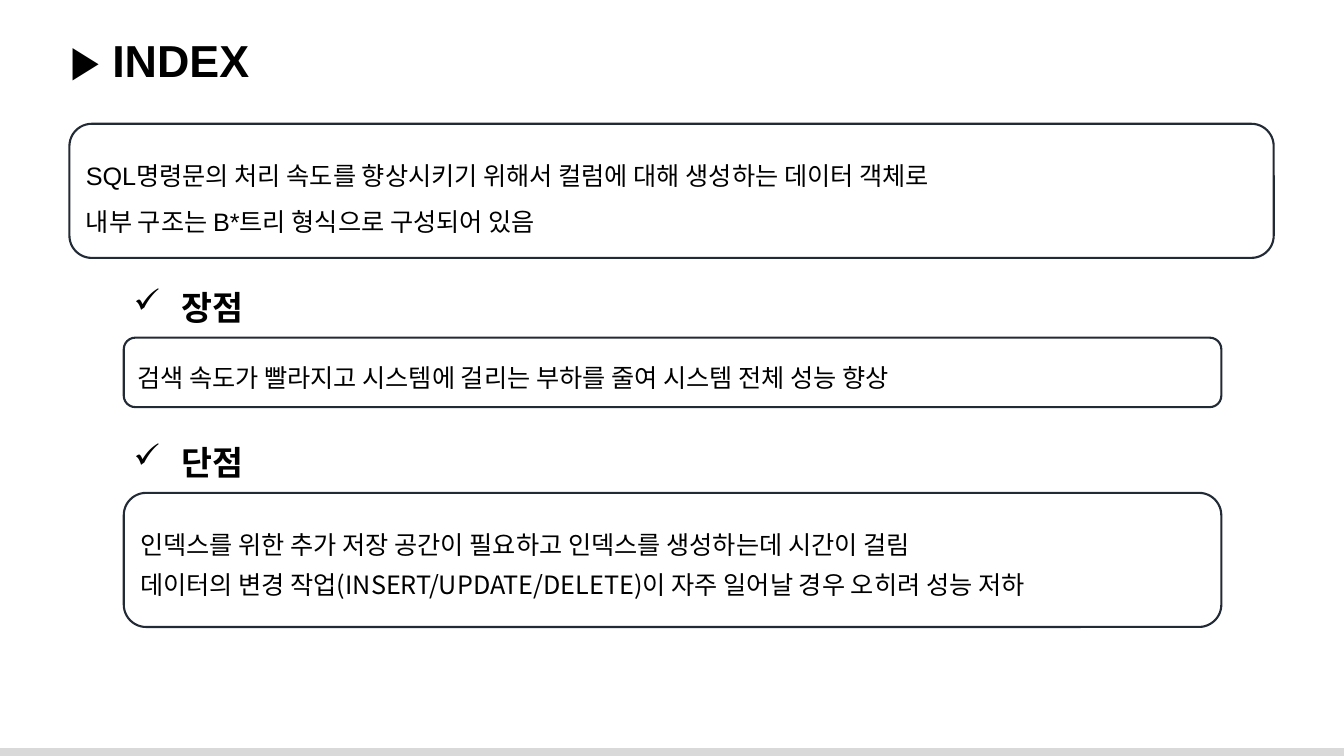
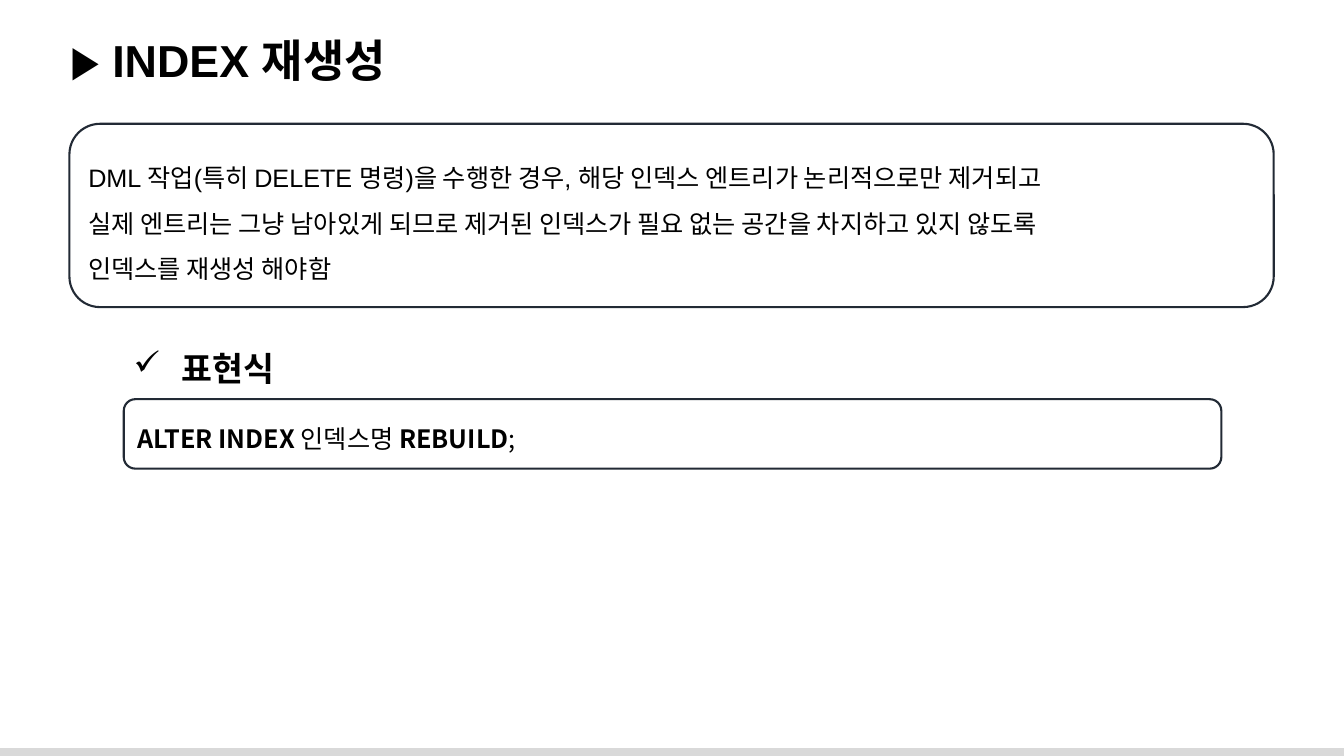
"""Build two slides that explain database indexes and how to rebuild them."""
from dataclasses import dataclass

from lxml import etree
from pptx import Presentation
from pptx.dml import color
from pptx.enum import shapes, text
from pptx.oxml import ns
from pptx.slide import Slide
from pptx.text.text import TextFrame
from pptx.util import Cm, Pt

COLORS = {"ink": "000000", "outline": "222A35", "footer": "D9D9D9"}
LATIN, KOREAN = "Arial", "Noto Sans CJK KR"
SLIDE_WIDTH, SLIDE_HEIGHT = 33.87, 19.05
FOOTER_HEIGHT = 0.2
SUMMARY_LEFT, SUMMARY_TOP, SUMMARY_WIDTH = 1.75, 3.12, 30.35
SECTION_LEFT, SECTION_WIDTH = 3.12, 27.66
HEADING_HEIGHT, HEADING_OFFSET = 1.28, 1.41
HEADING_BASE_WIDTH, SYLLABLE_WIDTH = 1.76, 0.86
CHECK_INDENT = 1.2


@dataclass(frozen=True)
class Run:
    words: str
    bold: bool = False


Lines = tuple[tuple[Run, ...], ...]


@dataclass(frozen=True)
class Section:
    heading: str
    top: float
    height: float
    lines: Lines


@dataclass(frozen=True)
class Page:
    title: str
    summary_height: float
    summary: Lines
    sections: tuple[Section, ...]


def plain(*sentences: str) -> Lines:
    return tuple((Run(sentence),) for sentence in sentences)


def bold(words: str) -> Lines:
    return ((Run(words, True),),)


PAGES = (
    Page(
        "▶ INDEX",
        3.38,
        plain(
            "SQL명령문의 처리 속도를 향상시키기 위해서 컬럼에 대해 생성하는 데이터 객체로",
            "내부 구조는 B*트리 형식으로 구성되어 있음",
        ),
        (
            Section("장점", 8.51, 1.75, plain(
                "검색 속도가 빨라지고 시스템에 걸리는 부하를 줄여 시스템 전체 성능 향상",
            )),
            Section("단점", 12.42, 3.38, plain(
                "인덱스를 위한 추가 저장 공간이 필요하고 인덱스를 생성하는데 시간이 걸림",
                "데이터의 변경 작업(INSERT/UPDATE/DELETE)이 자주 일어날 경우 오히려 성능 저하",
            )),
        ),
    ),
    Page(
        "▶ INDEX 재생성",
        4.62,
        plain(
            "DML 작업(특히 DELETE 명령)을 수행한 경우, 해당 인덱스 엔트리가 논리적으로만 제거되고",
            "실제 엔트리는 그냥 남아있게 되므로 제거된 인덱스가 필요 없는 공간을 차지하고 있지 않도록",
            "인덱스를 재생성 해야함",
        ),
        (
            Section("표현식", 10.06, 1.75, (
                (Run("ALTER INDEX ", True), Run("인덱스명 "), Run("REBUILD", True), Run(";")),
            )),
        ),
    ),
)


def rgb(name: str) -> color.RGBColor:
    return color.RGBColor.from_string(COLORS[name])


def write(frame: TextFrame, lines: Lines, *, size: float, font: str = LATIN,
          spacing: float = 1.0, check: bool = False) -> None:
    for index, line in enumerate(lines):
        paragraph = frame.add_paragraph() if index else frame.paragraphs[0]
        paragraph.alignment = text.PP_ALIGN.LEFT
        paragraph.line_spacing = spacing
        if check:
            properties = paragraph._p.get_or_add_pPr()
            properties.set("marL", str(Cm(CHECK_INDENT)))
            properties.set("indent", str(-Cm(CHECK_INDENT)))
            etree.SubElement(properties, ns.qn("a:buChar"), char="✓")
        for part in line:
            run = paragraph.add_run()
            run.text = part.words
            run.font.size = Pt(size)
            run.font.bold = part.bold
            run.font.color.rgb = rgb("ink")
            run.font.name = font
            etree.SubElement(run.font._element, ns.qn("a:ea"), typeface=KOREAN)


def add_label(slide: Slide, left: float, top: float, width: float, height: float,
              words: str, *, size: float, wrap: bool = True, check: bool = False) -> None:
    frame = slide.shapes.add_textbox(Cm(left), Cm(top), Cm(width), Cm(height)).text_frame
    frame.word_wrap = wrap
    frame.auto_size = text.MSO_AUTO_SIZE.SHAPE_TO_FIT_TEXT
    write(frame, bold(words), size=size, check=check)


def add_panel(slide: Slide, left: float, top: float, width: float, height: float,
              lines: Lines, *, font: str, spacing: float) -> None:
    panel = slide.shapes.add_shape(
        shapes.MSO_SHAPE.ROUNDED_RECTANGLE, Cm(left), Cm(top), Cm(width), Cm(height))
    panel.shadow.inherit = False
    panel.fill.background()
    panel.line.color.rgb = rgb("outline")
    panel.line.width = Pt(1.5)
    panel.text_frame.word_wrap = True
    panel.text_frame.vertical_anchor = text.MSO_ANCHOR.MIDDLE
    write(panel.text_frame, lines, size=18, font=font, spacing=spacing)


def add_footer(slide: Slide) -> None:
    footer = slide.shapes.add_shape(
        shapes.MSO_SHAPE.RECTANGLE, 0, Cm(SLIDE_HEIGHT - FOOTER_HEIGHT),
        Cm(SLIDE_WIDTH), Cm(FOOTER_HEIGHT))
    footer.shadow.inherit = False
    footer.fill.solid()
    footer.fill.fore_color.rgb = rgb("footer")
    footer.line.fill.background()


def add_section(slide: Slide, section: Section) -> None:
    heading_width = HEADING_BASE_WIDTH + SYLLABLE_WIDTH * len(section.heading)
    add_label(slide, SECTION_LEFT, section.top - HEADING_OFFSET, heading_width,
              HEADING_HEIGHT, section.heading, size=24, wrap=False, check=True)
    add_panel(slide, SECTION_LEFT, section.top, SECTION_WIDTH, section.height,
              section.lines, font=KOREAN, spacing=1.3)


def add_page(slide: Slide, page: Page) -> None:
    add_footer(slide)
    add_label(slide, 1.52, 0.71, 32, 1.63, page.title, size=32)
    add_panel(slide, SUMMARY_LEFT, SUMMARY_TOP, SUMMARY_WIDTH, page.summary_height,
              page.summary, font=LATIN, spacing=1.5)
    for section in page.sections:
        add_section(slide, section)


def main() -> None:
    deck = Presentation()
    deck.slide_width, deck.slide_height = Cm(SLIDE_WIDTH), Cm(SLIDE_HEIGHT)
    blank = deck.slide_layouts[6]
    for page in PAGES:
        add_page(deck.slides.add_slide(blank), page)
    deck.save("out.pptx")


if __name__ == "__main__":
    main()
